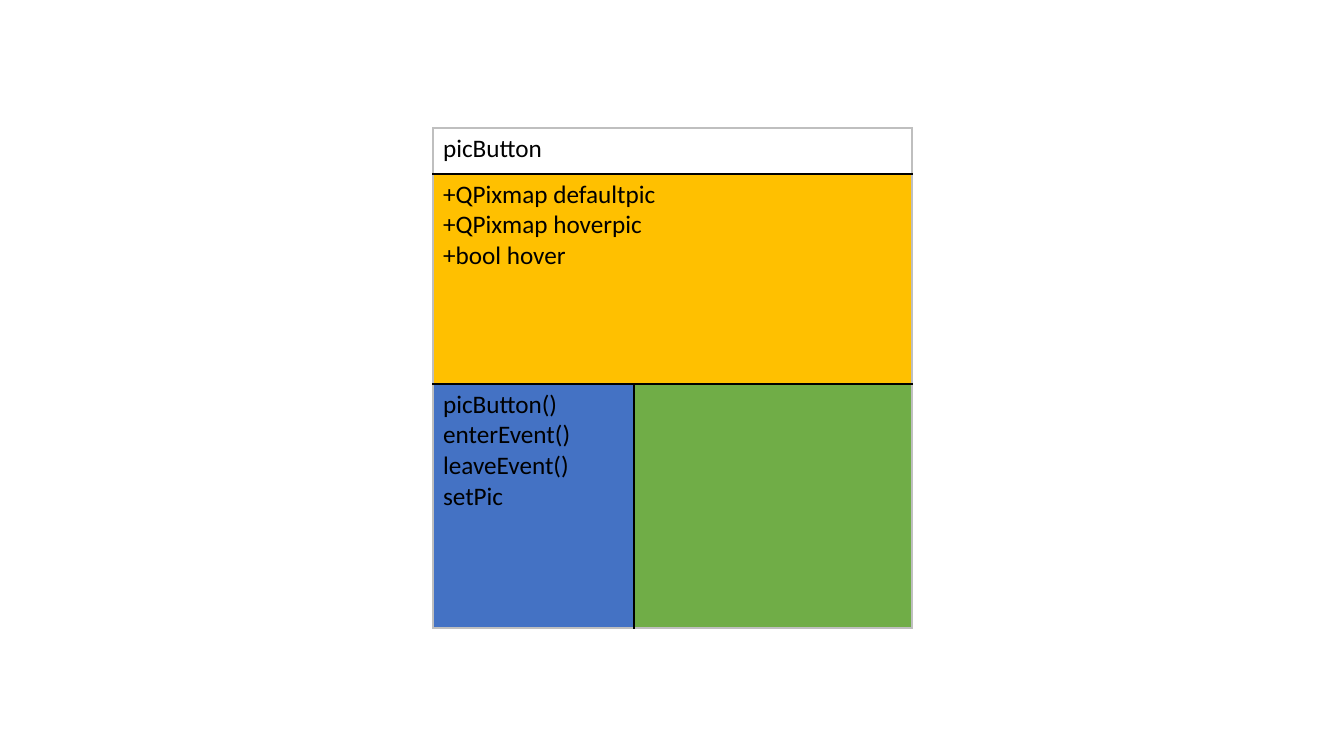
import pptx
import pptx.util
import pptx.dml.color
import pptx.oxml
import pptx.oxml.ns

PIXEL = 914400 / 100.8
PAGE_SIZE = (1344, 756)
TABLE_CORNER = (433, 128)
COLUMN_WIDTHS = [201, 278]
ROW_HEIGHTS = [46, 210, 244]
INNER_LINE, OUTER_LINE = "000000", "BFBFBF"

# Each row lists its cells as (fill, lines); a single cell spans the row.
CLASS_ROWS = [
    [(None, ["picButton"])],
    [("FFC000", ["+QPixmap defaultpic", "+QPixmap hoverpic", "+bool hover"])],
    [("4472C4", ["picButton()", "enterEvent()", "leaveEvent()", "setPic"]),
     ("70AD47", [])],
]


def px(pixels):
    """Turn pixels into EMU."""
    return pptx.util.Emu(round(pixels * PIXEL))


def color(value):
    """Turn a hex string into a colour."""
    return pptx.dml.color.RGBColor.from_string(value)


def set_borders(cell, lines):
    """Draw the edges of a cell, given as (side, colour) in L, R, T, B order."""
    properties = cell._tc.get_or_add_tcPr()
    for index, (side, value) in enumerate(lines):
        properties.insert(index, pptx.oxml.parse_xml(
            f'<a:ln{side} {pptx.oxml.ns.nsdecls("a")} w="12700"><a:solidFill>'
            f'<a:srgbClr val="{value}"/></a:solidFill></a:ln{side}>'))


def fill_cell(cell, fill, lines):
    """Set the background and the text lines of a cell."""
    if fill:
        cell.fill.solid()
        cell.fill.fore_color.rgb = color(fill)
    else:
        cell.fill.background()
    cell.text = "\n".join(lines)
    for para in cell.text_frame.paragraphs:
        para.font.size = pptx.util.Pt(18)
        para.font.name = "Calibri"
        para.font.color.rgb = color("000000")


def add_class_table(page):
    """Add the class diagram as a table."""
    row_count, column_count = len(ROW_HEIGHTS), len(COLUMN_WIDTHS)
    table = page.shapes.add_table(
        row_count, column_count, *map(px, TABLE_CORNER),
        px(sum(COLUMN_WIDTHS)), px(sum(ROW_HEIGHTS))).table
    table.first_row = table.horz_banding = False
    for column, width in zip(table.columns, COLUMN_WIDTHS):
        column.width = px(width)
    for row, height in zip(table.rows, ROW_HEIGHTS):
        row.height = px(height)

    for r, row_cells in enumerate(CLASS_ROWS):
        spans = len(row_cells) == 1
        if spans:
            table.cell(r, 0).merge(table.cell(r, column_count - 1))
        for c in range(column_count):
            cell = table.cell(r, c)
            if c < len(row_cells):
                fill_cell(cell, *row_cells[c])
            outer = {"L": spans or c == 0,
                     "R": spans or c == column_count - 1,
                     "T": r == 0, "B": r == row_count - 1}
            set_borders(cell, [(side, OUTER_LINE if edge else INNER_LINE)
                               for side, edge in outer.items()])


deck = pptx.Presentation()
deck.slide_width, deck.slide_height = map(px, PAGE_SIZE)
page = deck.slides.add_slide(deck.slide_layouts[6])
add_class_table(page)
deck.save("out.pptx")
